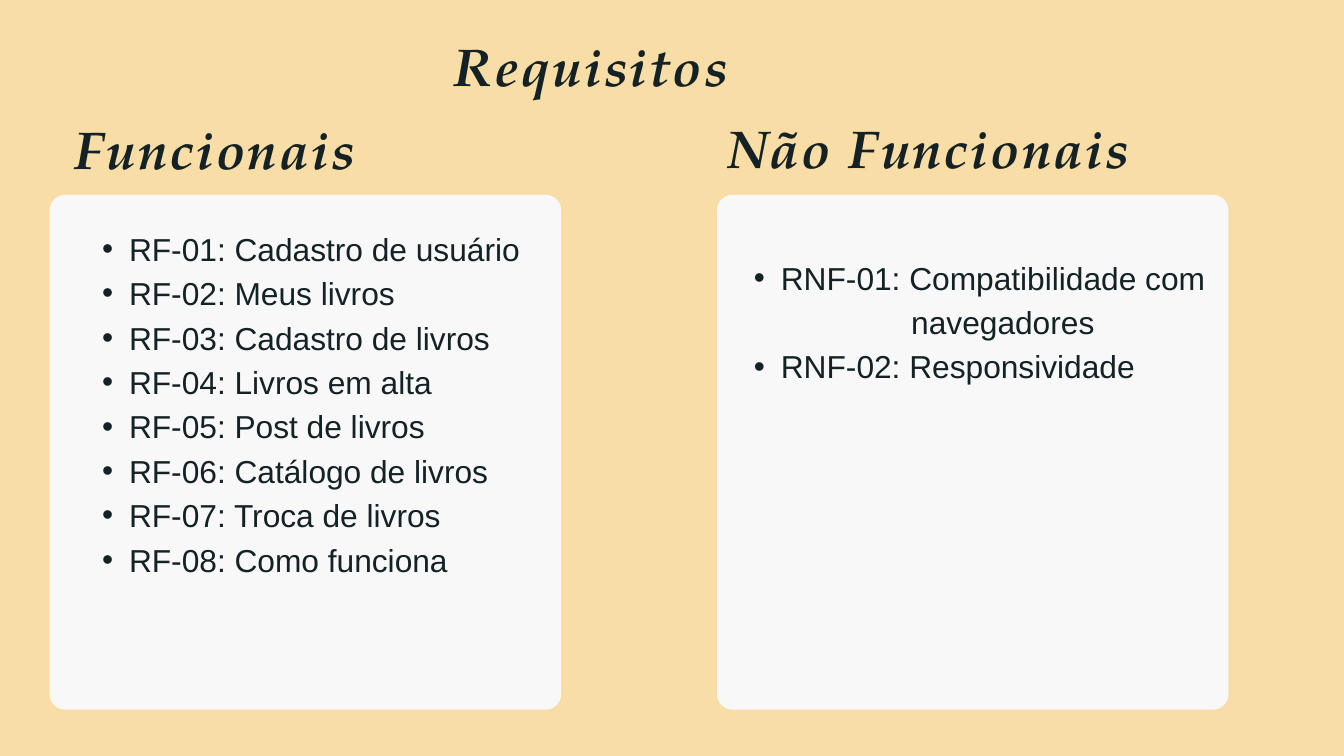
from dataclasses import dataclass

from lxml import etree
from pptx import Presentation
from pptx.dml.color import RGBColor
from pptx.enum.shapes import MSO_SHAPE
from pptx.enum.text import MSO_ANCHOR, MSO_AUTO_SIZE, PP_ALIGN
from pptx.oxml.ns import qn
from pptx.util import Inches, Pt

ROUNDED = MSO_SHAPE.ROUNDED_RECTANGLE
TOP = MSO_ANCHOR.TOP
NO_AUTOFIT = MSO_AUTO_SIZE.NONE
LEFT, JUSTIFY = PP_ALIGN.LEFT, PP_ALIGN.JUSTIFY
COMPARISON_LAYOUT = 3 + 1


@dataclass(frozen=True)
class Theme:
    background: RGBColor = RGBColor(0xF8, 0xDE, 0xA6)
    card: RGBColor = RGBColor(0xF8, 0xF8, 0xF8)
    ink: RGBColor = RGBColor(0x15, 0x22, 0x25)
    heading_font: str = "TeX Gyre Pagella"
    heading_size: float = 57
    heading_line: float = 87.2
    heading_tracking: float = 2.4
    list_font: str = "Arial"
    list_size: float = 34
    list_line: float = 47.6


@dataclass(frozen=True)
class Box:
    left: float
    top: float
    width: float
    height: float


@dataclass(frozen=True)
class Item:
    text: str
    margin: float = 0.8
    bulleted: bool = True


@dataclass(frozen=True)
class Column:
    heading: str
    heading_box: Box
    card_left: float
    items_box: Box
    items: tuple[Item, ...]


THEME = Theme()
HANGING = 0.4
CARD_TOP, CARD_WIDTH, CARD_HEIGHT = 2.9, 7.61, 7.66

COLUMNS = (
    Column(
        "Funcionais", Box(1.11, 1.47, 6.63, 1.16), 0.74, Box(1.12, 3.32, 6.65, 7.93),
        (
            Item("RF-01: Cadastro de usuário"),
            Item("RF-02: Meus livros"),
            Item("RF-03: Cadastro de livros"),
            Item("RF-04: Livros em alta"),
            Item("RF-05: Post de livros"),
            Item("RF-06: Catálogo de livros"),
            Item("RF-07: Troca de livros"),
            Item("RF-08: Como funciona"),
        ),
    ),
    Column(
        "Não Funcionais", Box(10.82, 1.46, 8.57, 1.16), 10.67, Box(10.82, 3.75, 7.26, 4.64),
        (
            Item("RNF-01: Compatibilidade com"),
            Item("navegadores", margin=2.74, bulleted=False),
            Item("RNF-02: Responsividade"),
        ),
    ),
)


def place(placeholder, box: Box):
    placeholder.left, placeholder.top = Inches(box.left), Inches(box.top)
    placeholder.width, placeholder.height = Inches(box.width), Inches(box.height)
    frame = placeholder.text_frame
    frame.margin_left = frame.margin_top = frame.margin_right = frame.margin_bottom = 0
    frame.vertical_anchor = TOP
    frame.auto_size = NO_AUTOFIT
    frame.word_wrap = True
    return frame


def set_spacing(paragraph, line: float, alignment) -> None:
    paragraph.alignment = alignment
    paragraph.line_spacing = Pt(line)
    paragraph.space_before = paragraph.space_after = Pt(0)


def write_heading(placeholder, text: str, box: Box) -> None:
    paragraph = place(placeholder, box).paragraphs[0]
    paragraph.text = text
    set_spacing(paragraph, THEME.heading_line, LEFT)
    font = paragraph.font
    font.name, font.size = THEME.heading_font, Pt(THEME.heading_size)
    font.bold = font.italic = True
    font.color.rgb = THEME.ink
    tracking = str(round(THEME.heading_tracking * 100))
    paragraph._p.pPr.find(qn("a:defRPr")).set("spc", tracking)


def write_items(placeholder, items: tuple[Item, ...], box: Box) -> None:
    frame = place(placeholder, box)
    for index, item in enumerate(items):
        paragraph = frame.add_paragraph() if index else frame.paragraphs[0]
        paragraph.text = item.text
        set_spacing(paragraph, THEME.list_line, JUSTIFY)
        properties = paragraph._p.get_or_add_pPr()
        properties.set("marL", str(Inches(item.margin)))
        properties.set("indent", str(Inches(-HANGING if item.bulleted else 0)))
        if item.bulleted:
            etree.SubElement(properties, qn("a:buFont"), typeface="Arial")
            etree.SubElement(properties, qn("a:buChar"), char="•")
        else:
            etree.SubElement(properties, qn("a:buNone"))
        font = paragraph.font
        font.name, font.size = THEME.list_font, Pt(THEME.list_size)
        font.color.rgb = THEME.ink


def draw_card(slide, left: float) -> None:
    card = slide.shapes.add_shape(
        ROUNDED, Inches(left), Inches(CARD_TOP), Inches(CARD_WIDTH), Inches(CARD_HEIGHT)
    )
    card.adjustments[0] = 0.03
    card.shadow.inherit = False
    card.fill.solid()
    card.fill.fore_color.rgb = THEME.card
    card.line.fill.background()
    slide.shapes._spTree.insert(2, card._element)


def main() -> None:
    presentation = Presentation()
    presentation.slide_width, presentation.slide_height = Inches(20), Inches(11.25)
    slide = presentation.slides.add_slide(presentation.slide_layouts[COMPARISON_LAYOUT])
    slide.background.fill.solid()
    slide.background.fill.fore_color.rgb = THEME.background

    title, *bodies = list(slide.placeholders)
    write_heading(title, "Requisitos", Box(6.75, 0.23, 4.52, 1.16))
    for column, heading, body in zip(COLUMNS, bodies[::2], bodies[1::2]):
        write_heading(heading, column.heading, column.heading_box)
        write_items(body, column.items, column.items_box)
    for column in reversed(COLUMNS):
        draw_card(slide, column.card_left)
    presentation.save("out.pptx")


if __name__ == "__main__":
    main()
